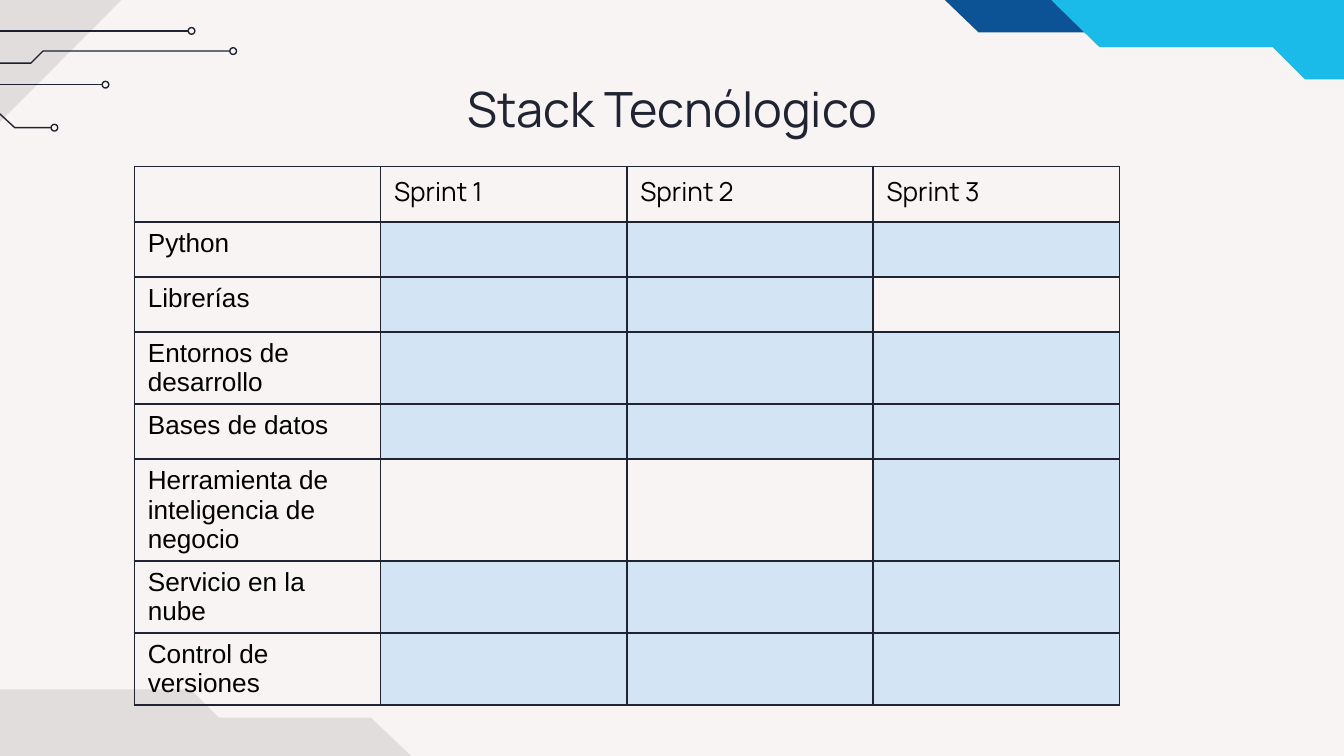
from dataclasses import dataclass

from lxml import etree
from pptx import Presentation
from pptx import util as u
from pptx.dml.color import RGBColor
from pptx.enum import shapes, text
from pptx.oxml import ns

# The slide is a grid of 1000 columns by 562.5 rows.
CELL = u.Inches(0.01)
WIDE, HIGH = 1000, 562.5

INK = RGBColor(0x20, 0x23, 0x31)
PAPER = RGBColor(0xF8, 0xF4, 0xF4)
NAVY = RGBColor(0x0B, 0x53, 0x94)
CYAN = RGBColor(0x1B, 0xBB, 0xE9)
BLACK = RGBColor(0x00, 0x00, 0x00)
DONE = RGBColor(0xD3, 0xE5, 0xF5)

Points = list[tuple[float, float]]


@dataclass
class Patch:
    points: Points
    color: RGBColor
    alpha: int = 100


@dataclass
class Wire:
    """A circuit trace that ends in a small ring."""
    points: Points


@dataclass
class Tool:
    name: str
    sprints: tuple[int, ...] = (1, 2, 3)


RIGHT = [
    Patch([(702, -1), (728, 24), (837, 24), (812, -1)], NAVY),
    Patch([(1154, 59), (1154, -200), (716, -200), (716, -10), (772, -10),
           (818, 35), (947, 35), (971, 59)], CYAN),
]
WIRES = [
    Wire([(-91, 63), (76, 63)]),
    Wire([(-128, 83), (-2, 83), (11, 95), (38, 95)]),
    Wire([(-160, 47), (23, 47), (32, 38), (171, 38)]),
    Wire([(-185, 23), (140, 23)]),
]
LEFT = [
    Patch([(-19, 513), (-19, 740), (366, 740), (366, 573), (317, 573),
           (276, 534), (163, 534), (142, 513)], BLACK, 9),
    Patch([(-222, 129), (-222, -73), (163, -73), (-38, 129)], BLACK, 9),
]
TOOLS = [
    Tool("Python"),
    Tool("Librerías", (1, 2)),
    Tool("Entornos de desarrollo"),
    Tool("Bases de datos"),
    Tool("Herramienta de inteligencia de negocio", (3,)),
    Tool("Servicio en la nube"),
    Tool("Control de versiones"),
]
SPRINTS = (1, 2, 3)


def span(cells: float) -> int:
    return round(cells * CELL)


def outline(slide, points: Points, close: bool):
    pen = slide.shapes.build_freeform(*points[0], scale=CELL)
    pen.add_line_segments(points[1:], close=close)
    shape = pen.convert_to_shape()
    shape.shadow.inherit = False
    return shape


def stroke(shape) -> None:
    shape.line.color.rgb = INK
    shape.line.width = u.Pt(0.75)


def draw_patch(slide, patch: Patch) -> None:
    shape = outline(slide, patch.points, True)
    shape.line.fill.background()
    shape.fill.solid()
    shape.fill.fore_color.rgb = patch.color
    if patch.alpha < 100:
        tint = shape.fill._xPr.find(".//" + ns.qn("a:srgbClr"))
        etree.SubElement(tint, ns.qn("a:alpha"), val=str(patch.alpha * 1000))


def draw_wire(slide, wire: Wire, ring: float = 5) -> None:
    x, y = wire.points[-1]
    if len(wire.points) == 2:
        ends = [span(n) for point in wire.points for n in point]
        line = slide.shapes.add_connector(shapes.MSO_CONNECTOR.STRAIGHT, *ends)
        etree.SubElement(line._element.spPr, ns.qn("a:effectLst"))
    else:
        line = outline(slide, wire.points, False)
        line.fill.background()
    dot = slide.shapes.add_shape(
        shapes.MSO_SHAPE.OVAL, span(x), span(y - ring / 2), span(ring), span(ring))
    dot.shadow.inherit = False
    dot.fill.background()
    stroke(line)
    stroke(dot)


def style(run, size: float, face: str, color: RGBColor) -> None:
    for name, value in {"size": u.Pt(size), "name": face, "bold": False}.items():
        setattr(run.font, name, value)
    run.font.color.rgb = color


def write(para, words: str, size: float, face: str, color: RGBColor) -> None:
    run = para.add_run()
    run.text = words
    style(run, size, face, color)


def draw_title(slide, words: str) -> None:
    title = slide.shapes.title
    place = {"left": 79, "top": 49, "width": 843, "height": 63}
    for name, cells in place.items():
        setattr(title, name, span(cells))
    frame = title.text_frame
    for side in ("left", "right", "top", "bottom"):
        setattr(frame, f"margin_{side}", span(10))
    frame.word_wrap = True
    frame.auto_size = text.MSO_AUTO_SIZE.NONE
    frame.vertical_anchor = text.MSO_ANCHOR.MIDDLE
    para = frame.paragraphs[0]
    para.alignment = text.PP_ALIGN.CENTER
    write(para, words, 26, "Manrope", INK)


def border(cell) -> None:
    props = cell._tc.get_or_add_tcPr()
    for spot, side in enumerate(("lnL", "lnR", "lnT", "lnB")):
        edge = etree.Element(ns.qn(f"a:{side}"), w=str(u.Pt(1)))
        fill = etree.SubElement(edge, ns.qn("a:solidFill"))
        etree.SubElement(fill, ns.qn("a:srgbClr"), val=str(INK))
        props.insert(spot, edge)


def draw_table(slide, tools: list[Tool]) -> None:
    rows, cols = len(tools) + 1, len(SPRINTS) + 1
    table = slide.shapes.add_table(
        rows, cols, span(100), span(124), span(733), span(41 * rows)).table
    table.first_row = table.horz_banding = False
    for cell in table.iter_cells():
        cell.fill.background()
    for sprint in SPRINTS:
        head = table.cell(0, sprint).text_frame.paragraphs[0]
        write(head, f"Sprint {sprint}", 14, "Manrope", BLACK)
    for row, tool in enumerate(tools, 1):
        label = table.cell(row, 0).text_frame.paragraphs[0]
        write(label, tool.name, 14, "Arial", BLACK)
        for sprint in tool.sprints:
            fill = table.cell(row, sprint).fill
            fill.solid()
            fill.fore_color.rgb = DONE
    for cell in table.iter_cells():
        border(cell)


def main() -> None:
    deck = Presentation()
    deck.slide_width, deck.slide_height = span(WIDE), span(HIGH)
    slide = deck.slides.add_slide(deck.slide_layouts[5])
    back = slide.background.fill
    back.solid()
    back.fore_color.rgb = PAPER
    for patch in RIGHT:
        draw_patch(slide, patch)
    for wire in WIRES:
        draw_wire(slide, wire)
    for patch in LEFT:
        draw_patch(slide, patch)
    draw_title(slide, "Stack Tecnólogico")
    draw_table(slide, TOOLS)
    deck.save("out.pptx")


if __name__ == "__main__":
    main()
